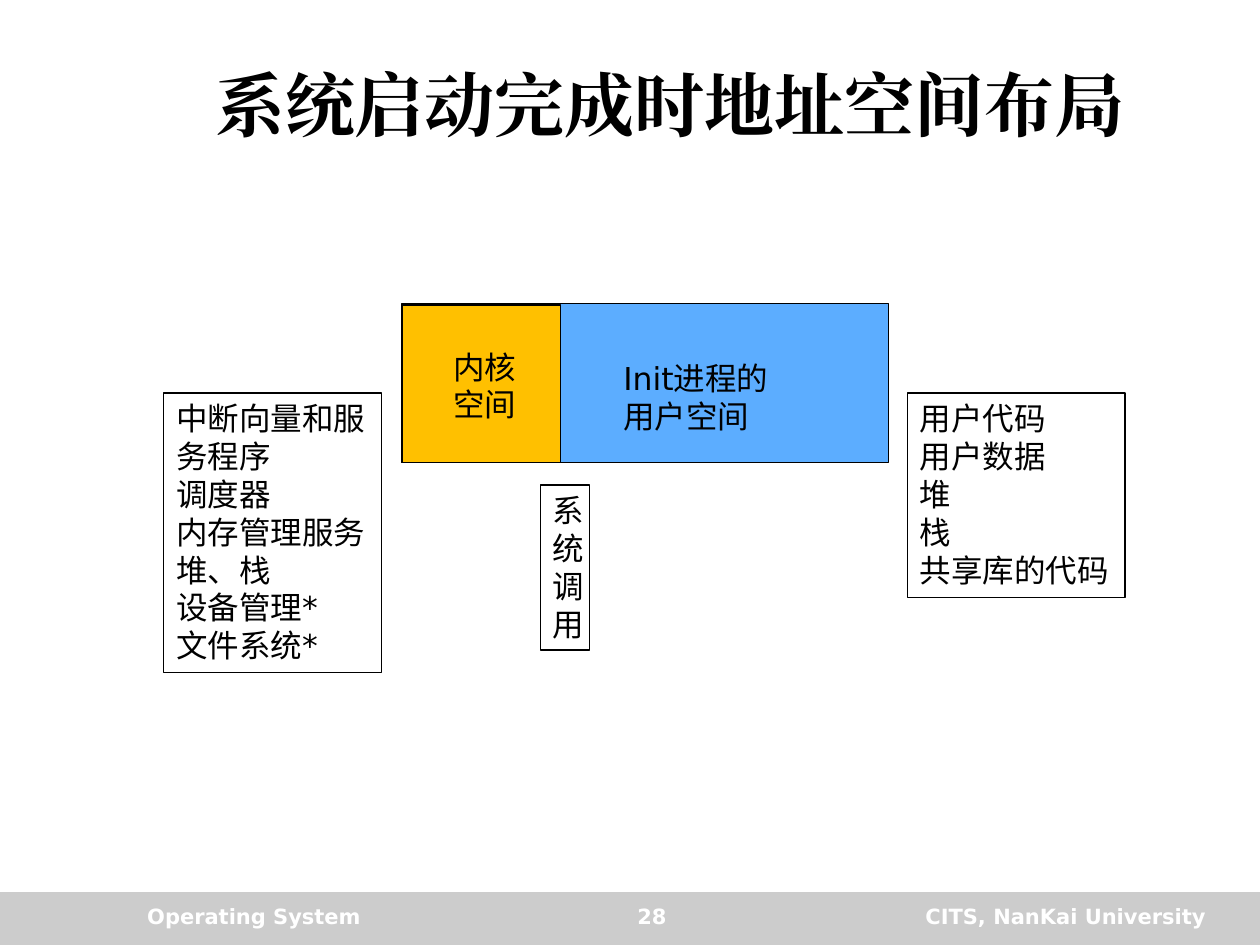
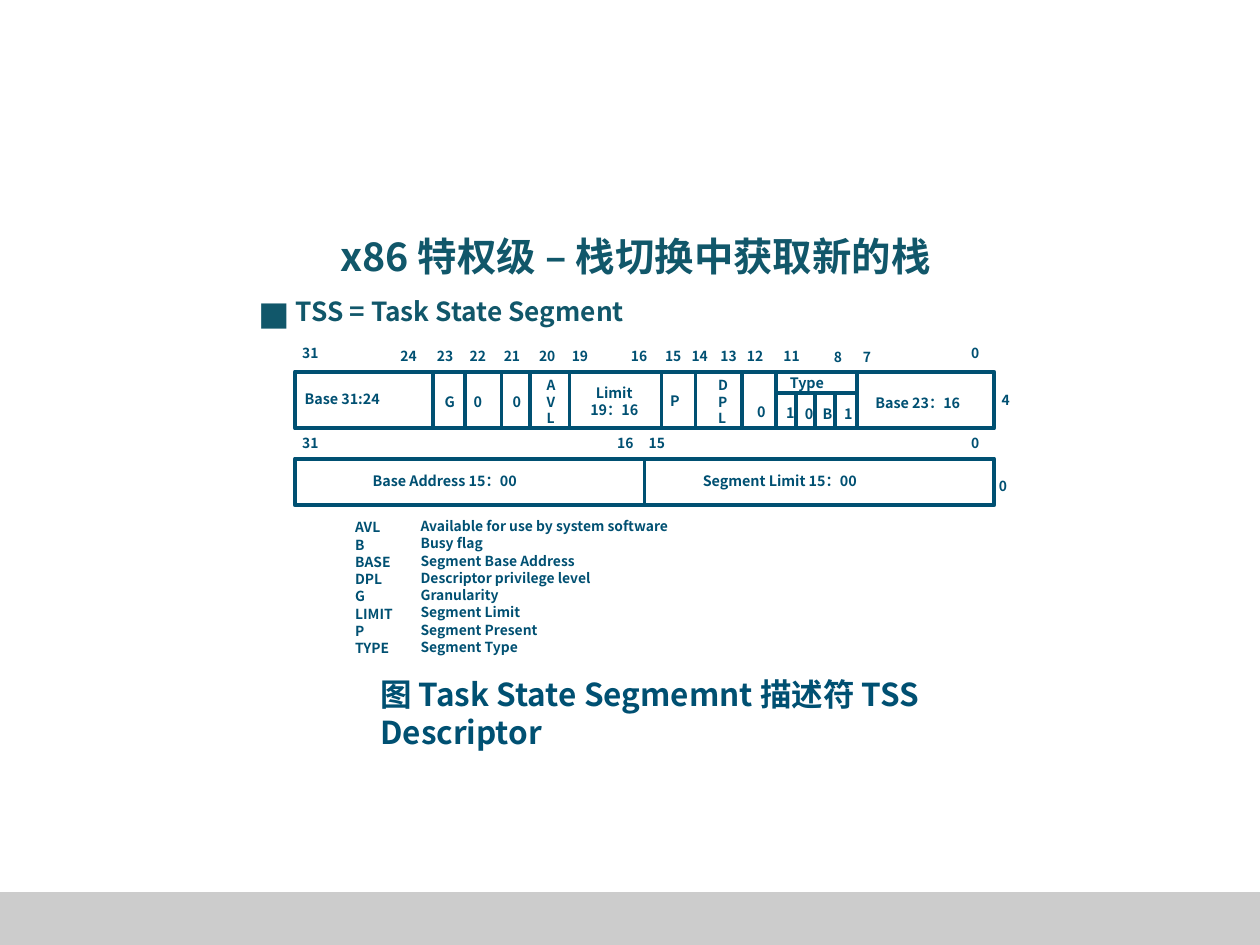
from lxml import etree
from pptx import Presentation
from pptx.dml.color import RGBColor as Rgb
from pptx.enum.shapes import MSO_CONNECTOR as Link, MSO_SHAPE as Shape
from pptx.enum.text import MSO_ANCHOR as Anchor, MSO_AUTO_SIZE as Auto, PP_ALIGN as Align
from pptx.oxml.ns import qn
from pptx.util import Inches, Pt

HEX = {"black": "000000", "white": "FFFFFF", "band": "CCCCCC", "blue": "5CADFF",
       "gold": "FFC000", "teal": "11576A", "navy": "005072"}
SANS, CJK = "DejaVu Sans", "Noto Sans CJK SC"
BODY = {"size": 18, "name": SANS, "color": "black", "bold": False}
FOOT = {"size": 12, "name": SANS, "color": "white", "bold": True}
HEAD = {"size": 40, "name": "Times New Roman", "color": "black", "bold": True}
LEAD = {"size": 22.5, "name": CJK, "color": "teal", "bold": True}
MARK = {"size": 7.9, "name": CJK, "color": "navy", "bold": True}
CELL = MARK | {"size": 8.2}


def tint(name):
    return Rgb.from_string(HEX[name])


def place(part, box):
    for key, value in zip(("left", "top", "width", "height"), box):
        setattr(part, key, Inches(value))


def write(part, text, style, align=Align.LEFT, anchor=Anchor.TOP, space=None):
    """Fill a shape with one paragraph for each line of text."""
    frame = part.text_frame
    for key, value in {"word_wrap": True, "auto_size": Auto.NONE,
                       "vertical_anchor": anchor, "text": text}.items():
        setattr(frame, key, value)
    values = style | {"size": Pt(style["size"])}
    color = values.pop("color")
    for para in frame.paragraphs:
        para.alignment, para.line_spacing = align, space
        for run in para.runs:
            for key, value in values.items():
                setattr(run.font, key, value)
            run.font.color.rgb = tint(color)
            east = etree.SubElement(run.font._element, qn("a:ea"))
            east.set("typeface", style["name"])


def label(slide, box, text, style, **more):
    part = slide.shapes.add_textbox(*map(Inches, box))
    write(part, text, style, **more)


def note(slide, left, top, text, style, width=None, **more):
    """Add a small label sized from its text."""
    lines = text.split("\n")
    width = width or 0.3 + 0.08 * max(map(len, lines))
    high = 0.1 + len(lines) * style["size"] / 60
    label(slide, (left, top, width, high), text, style, **more)


def block(slide, box, fill=None, line=None, weight=0.75):
    part = slide.shapes.add_shape(Shape.RECTANGLE, *map(Inches, box))
    part.shadow.inherit = False
    if fill:
        part.fill.solid()
        part.fill.fore_color.rgb = tint(fill)
    else:
        part.fill.background()
    if line:
        part.line.color.rgb = tint(line)
        part.line.width = Pt(weight)
    else:
        part.line.fill.background()
    return part


def rule(slide, *ends):
    line = slide.shapes.add_connector(Link.STRAIGHT, *map(Inches, ends))
    line.line.color.rgb = tint("navy")
    line.line.width = Pt(2.25)
    etree.SubElement(line._element.spPr, qn("a:effectLst"))
    return line


def start(deck, box, title, style, **more):
    """Add a slide with its footer band and title."""
    slide = deck.slides.add_slide(deck.slide_layouts[5])
    block(slide, (0, 7.08, 10, 0.42), "band")
    place(slide.shapes.title, box)
    write(slide.shapes.title, title, style, **more)
    return slide


def footer(slide, top, page):
    for left, width, text, align in (
            (1.07, 2.75, "Operating System", Align.LEFT),
            (6.5, 3.17, "CITS, NanKai University", Align.RIGHT),
            (4.01, 2.33, page, Align.CENTER)):
        label(slide, (left, top, width, 0.33), text, FOOT, align=align)


def memory(slide, left, top):
    """Draw the kernel and user space bar with its three lists."""
    block(slide, (left, top, 3.86, 1.26), "blue", "black")
    block(slide, (left, top + 0.01, 1.26, 1.25), "gold", "black")
    label(slide, (left + 1.66, top + 0.39, 1.93, 0.71), "Init进程的\n用户空间", BODY)
    label(slide, (left + 0.31, top + 0.3, 1.01, 0.71), "内核\n空间", BODY)
    kernel = "中断向量和服务程序\n调度器\n内存管理服务\n堆、栈\n设备管理*\n文件系统*"
    user = "用户代码\n用户数据\n堆\n栈\n共享库的代码"
    for dx, dy, width, high, text in (
            (-1.89, 0.71, 1.73, 2.22, kernel),
            (4.01, 0.71, 1.73, 1.62, user),
            (1.1, 1.44, 0.39, 1.31, "系统调用")):
        part = block(slide, (left + dx, top + dy, width, high), line="black")
        write(part, text, BODY)


def fields(slide, left, top):
    """Draw the two descriptor words, their fields and bit numbers."""
    wide, high, low = 5.55, 0.45, 0.69
    # Frames and dividers
    block(slide, (left, top, wide, high), line="navy", weight=2.25)
    word = block(slide, (left, top + low, wide, 0.37), line="navy", weight=2.25)
    half = rule(slide, left, top, left, top)
    half.begin_connect(word, 0)
    half.end_connect(word, 2)
    for dx in (1.1, 1.35, 1.64, 1.87, 2.18, 2.91, 3.18, 3.55, 3.82, 4.46):
        rule(slide, left + dx, top, left + dx, top + high)
    for dx in (3.98, 4.13, 4.29):
        rule(slide, left + dx, top + 0.17, left + dx, top + high)
    rule(slide, left + 3.83, top + 0.17, left + 4.45, top + 0.17)

    # Bit numbers above each word
    upper = {31: -0.04, 24: 0.74, 23: 1.03, 22: 1.29, 21: 1.56, 20: 1.84,
             19: 2.1, 16: 2.57, 15: 2.84, 14: 3.05, 13: 3.28, 12: 3.49,
             11: 3.78, 8: 4.18, 7: 4.41, 0: 5.27}
    lower = {31: -0.04, 16: 2.46, 15: 2.71, 0: 5.27}
    lift = {31: -0.02, 0: -0.02, 8: 0.01, 7: 0.01}
    for bit, dx in upper.items():
        note(slide, left + dx, top - 0.24 + lift.get(bit, 0), str(bit), MARK)
    for bit, dx in lower.items():
        note(slide, left + dx, top + high, str(bit), MARK)

    # Byte offsets and stacked letters
    for dx, dy, text in ((5.51, 0.11, "4"), (5.49, 0.79, "0"),
                         (1.9, -0.01, "A\nV\nL"), (3.26, -0.01, "D\nP\nL")):
        note(slide, left + dx, top + dy, text, MARK)

    # Field names
    for dx, dy, text in (
            (-0.02, 0.1, "Base 31:24"), (1.09, 0.12, "G"), (1.32, 0.12, "0"),
            (1.63, 0.12, "0"), (2.88, 0.11, "P"), (3.57, 0.2, "0"),
            (3.83, -0.03, "Type"), (3.8, 0.21, "1"), (3.95, 0.22, "0"),
            (4.09, 0.22, "B"), (4.26, 0.22, "1"), (4.51, 0.13, "Base 23：16"),
            (0.52, 0.75, "Base Address 15：00"),
            (3.14, 0.75, "Segment Limit 15：00")):
        note(slide, left + dx, top + dy, text, CELL)
    note(slide, left + 2.08, top + 0.05, "Limit\n19：16", CELL, 0.91,
         align=Align.CENTER)


def legend(slide, left, top):
    terms = {"AVL": "Available for use by system software", "B": "Busy flag",
             "BASE": "Segment Base Address", "DPL": "Descriptor privilege level",
             "G": "Granularity", "LIMIT": "Segment Limit",
             "P": "Segment Present", "TYPE": "Segment Type"}
    for row, (term, text) in enumerate(terms.items()):
        base = top + 0.137 * row
        note(slide, left, base + 0.01, term, MARK, 0.7)
        note(slide, left + 0.52, base, text, MARK, 3.2)


def layout(deck):
    slide = start(deck, (1.06, 0.33, 8.51, 0.98), "系统启动完成时地址空间布局",
                  HEAD, align=Align.CENTER, anchor=Anchor.MIDDLE)
    footer(slide, 7.12, "28")
    memory(slide, 3.19, 2.41)


def segment(deck):
    slide = start(deck, (2.6, 1.82, 5.73, 0.46), "x86 特权级 – 栈切换中获取新的栈",
                  LEAD, space=0.95)
    label(slide, (2.25, 2.31, 3.17, 0.34), "TSS = Task State Segment",
          LEAD | {"size": 15}, space=0.95)
    label(slide, (1.95, 2.31, 0.45, 0.4), "■",
          LEAD | {"size": 18, "name": "Noto Sans CJK JP"})
    fields(slide, 2.34, 2.95)
    legend(slide, 2.72, 4.06)
    label(slide, (2.92, 5.31, 4.88, 0.71),
          "图 Task State Segmemnt 描述符 TSS Descriptor", MARK | {"size": 18})


def main():
    deck = Presentation()
    deck.slide_width, deck.slide_height = Inches(10), Inches(7.5)
    layout(deck)
    segment(deck)
    deck.save("out.pptx")


if __name__ == "__main__":
    main()
